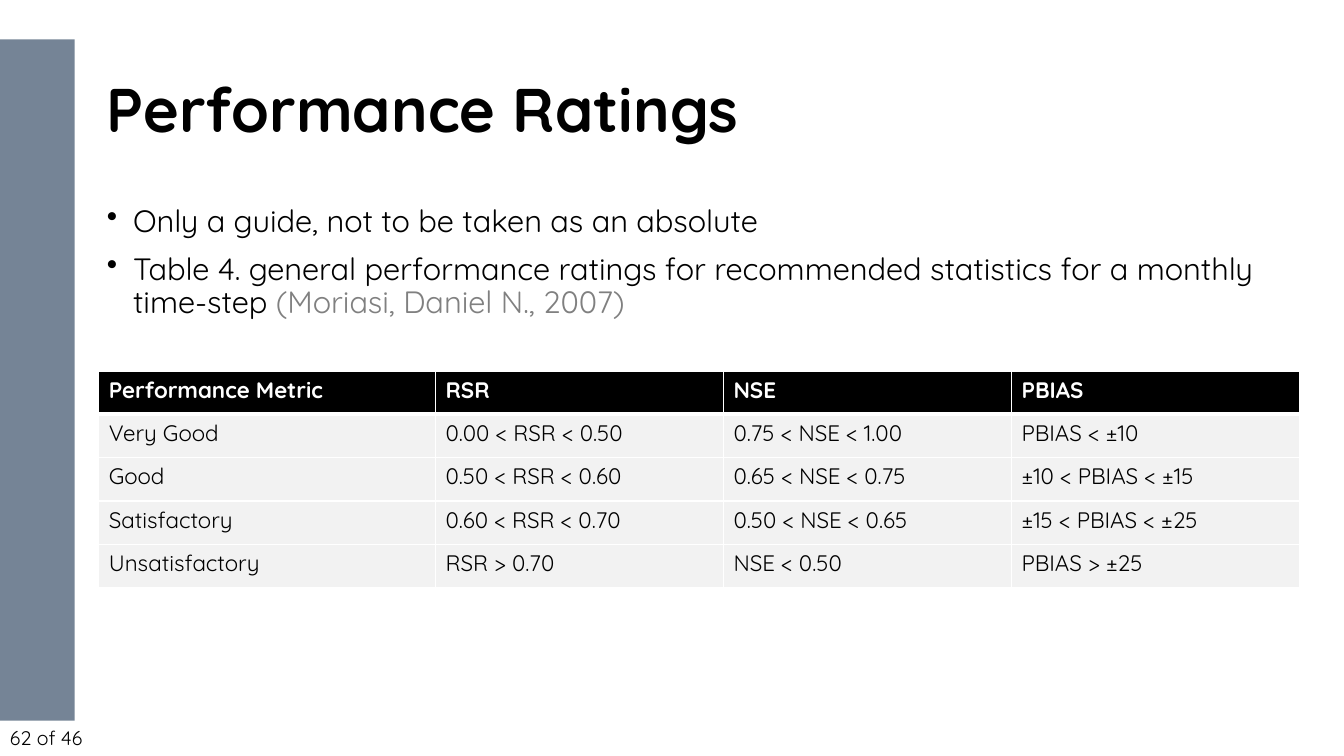
import pptx
import pptx.dml.color
import pptx.enum.shapes
import pptx.enum.text
import pptx.oxml
import pptx.oxml.ns
import pptx.util
from pptx.util import Inches

# Content
TITLE = "Performance Ratings"
BULLETS = [
    [("Only a guide, not to be taken as an absolute", "text")],
    [("Table 4. general performance ratings for recommended statistics "
      "for a monthly time-step ", "text"),
     ("(Moriasi, Daniel N., 2007)", "citation")],
]
RATINGS = [
    ("Performance Metric", "RSR", "NSE", "PBIAS"),
    ("Very Good", "0.00 < RSR < 0.50", "0.75 < NSE < 1.00", "PBIAS < ±10"),
    ("Good", "0.50 < RSR < 0.60", "0.65 < NSE < 0.75", "±10 < PBIAS < ±15"),
    ("Satisfactory", "0.60 < RSR < 0.70", "0.50 < NSE < 0.65", "±15 < PBIAS < ±25"),
    ("Unsatisfactory", "RSR > 0.70", "NSE < 0.50", "PBIAS > ±25"),
]
PAGE_LABEL = "62 of 46"

THEME = {
    "font": "Quicksand",
    "sizes": {"title": 44, "body": 22, "table": 16, "label": 14},
    "colors": {"text": "000000", "citation": "808080", "bar": "485C73",
               "header": "000000", "header text": "FFFFFF",
               "row": "F2F2F2", "grid": "FFFFFF"},
}

# Layout, in inches
LEFT, WIDTH = 0.98, 11.91
TABLE_TOP, ROW_HEIGHT = 3.68, 0.43
METRIC_WIDTH = 3.34
VALUE_WIDTH = (WIDTH - METRIC_WIDTH) / (len(RATINGS[0]) - 1)
INDENT = 0.26


def color(name):
    return pptx.dml.color.RGBColor.from_string(THEME["colors"][name])


def style(font, size, color_name="text", bold=False):
    font.name = THEME["font"]
    font.size = pptx.util.Pt(THEME["sizes"][size])
    font.bold = bold
    font.color.rgb = color(color_name)


def add_box(page, left, top, width, height, inset, middle=True):
    box = page.shapes.add_textbox(*map(Inches, (left, top, width, height)))
    frame = box.text_frame
    frame.word_wrap = True
    frame.margin_left = frame.margin_right = Inches(inset)
    frame.margin_top = frame.margin_bottom = Inches(inset / 2)
    anchors = pptx.enum.text.MSO_ANCHOR
    frame.vertical_anchor = anchors.MIDDLE if middle else anchors.TOP
    return frame


def add_bullet(para):
    properties = para._p.get_or_add_pPr()
    properties.set("marL", str(Inches(INDENT)))
    properties.set("indent", str(-Inches(INDENT)))
    bullet = pptx.oxml.parse_xml(
        f'<a:buChar {pptx.oxml.ns.nsdecls("a")} char="•"/>')
    properties.append(bullet)


def add_borders(cell, top, bottom):
    properties = cell._tc.get_or_add_tcPr()
    sides = (("L", 1), ("R", 1), ("T", top), ("B", bottom))
    for position, (side, points) in enumerate(sides):
        border = pptx.oxml.parse_xml(
            f'<a:ln{side} {pptx.oxml.ns.nsdecls("a")} w="{pptx.util.Pt(points)}">'
            f'<a:solidFill><a:srgbClr val="{THEME["colors"]["grid"]}"/>'
            f'</a:solidFill></a:ln{side}>')
        properties.insert(position, border)


def add_side_bar(page):
    bar = page.shapes.add_shape(pptx.enum.shapes.MSO_SHAPE.RECTANGLE,
                                *map(Inches, (0, 0.39, 0.74, 6.76)))
    bar.shadow.inherit = False
    bar.line.fill.background()
    bar.fill.solid()
    bar.fill.fore_color.rgb = color("bar")
    shade = bar._element.spPr.find(".//" + pptx.oxml.ns.qn("a:srgbClr"))
    shade.append(pptx.oxml.parse_xml(
        f'<a:alpha {pptx.oxml.ns.nsdecls("a")} val="75000"/>'))


def add_bullets(page):
    frame = add_box(page, LEFT, 2, WIDTH, 5.15, 0.08, middle=False)
    for number, pieces in enumerate(BULLETS):
        para = frame.add_paragraph() if number else frame.paragraphs[0]
        add_bullet(para)
        para.line_spacing = 0.9
        if number:
            para.space_before = pptx.util.Pt(10.4)
        for text, color_name in pieces:
            span = para.add_run()
            span.text = text
            style(span.font, "body", color_name)


def add_ratings(page):
    frame = page.shapes.add_table(
        len(RATINGS), len(RATINGS[0]),
        *map(Inches, (LEFT, TABLE_TOP, WIDTH, ROW_HEIGHT * len(RATINGS))))
    table = frame.table
    table.horz_banding = False
    for number, column in enumerate(table.columns):
        column.width = Inches(VALUE_WIDTH if number else METRIC_WIDTH)
    for row_number, values in enumerate(RATINGS):
        table.rows[row_number].height = Inches(ROW_HEIGHT)
        header = row_number == 0
        for column_number, value in enumerate(values):
            cell = table.cell(row_number, column_number)
            cell.text = value
            cell.fill.solid()
            cell.fill.fore_color.rgb = color("header" if header else "row")
            style(cell.text_frame.paragraphs[0].font, "table",
                  "header text" if header else "text", header)
            add_borders(cell, top=3 if row_number == 1 else 1,
                        bottom=3 if header else 1)


def main():
    deck = pptx.Presentation()
    deck.slide_width, deck.slide_height = Inches(13.33), Inches(7.5)
    page = deck.slides.add_slide(deck.slide_layouts[6])

    # Page label and side bar
    para = add_box(page, 0, 7.13, 2.09, 0.37, 0.1).paragraphs[0]
    para.text = PAGE_LABEL
    style(para.font, "label")
    add_side_bar(page)

    # Title
    para = add_box(page, LEFT, 0.39, WIDTH, 1.45, 0.08).paragraphs[0]
    para.text = TITLE
    para.line_spacing = 0.9
    style(para.font, "title", bold=True)

    # Bullets and ratings table
    add_bullets(page)
    add_ratings(page)
    deck.save("out.pptx")


if __name__ == "__main__":
    main()
